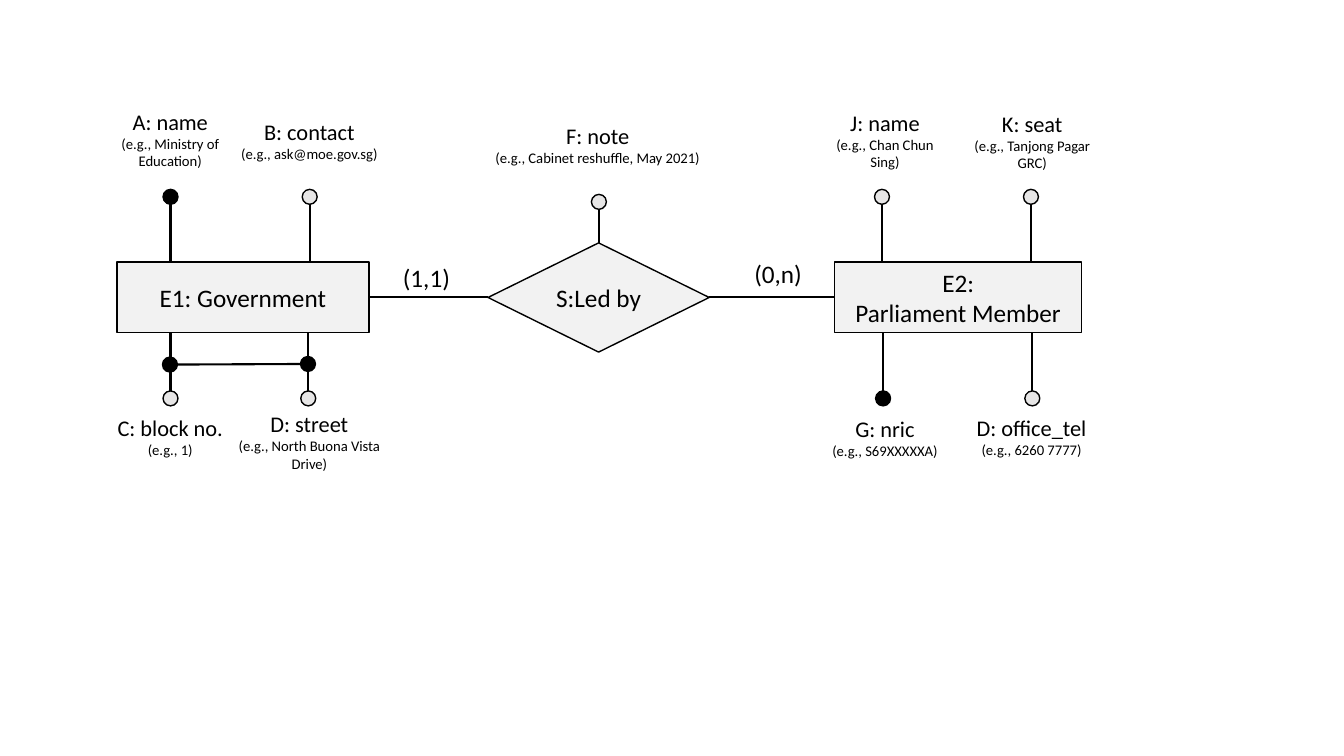
from dataclasses import dataclass

import pptx
import pptx.dml.color
import pptx.enum.shapes
import pptx.enum.text
import pptx.oxml
import pptx.oxml.ns
import pptx.util

Pt = pptx.util.Pt
KIND = pptx.enum.shapes.MSO_SHAPE
COLORS = {"ink": "000000", "box": "F2F2F2", "dot": "E7E6E6"}
FONT = "Calibri"
DOT = 10.7
MID = 212.4


@dataclass
class Node:
    kind: int
    left: float
    top: float
    width: float
    height: float
    lines: list[str]


@dataclass
class Pin:
    x: float
    y: float
    edge: float
    fill: str


@dataclass
class Label:
    left: float
    top: float
    width: float
    height: float
    name: str
    note: str = ""


def color(name: str) -> pptx.dml.color.RGBColor:
    return pptx.dml.color.RGBColor.from_string(COLORS[name])


def write(frame, lines: list[tuple[str, float]]) -> None:
    frame.word_wrap = True
    for i, (text, size) in enumerate(lines):
        para = frame.paragraphs[0] if i == 0 else frame.add_paragraph()
        para.alignment = pptx.enum.text.PP_ALIGN.CENTER
        run = para.add_run()
        run.text = text
        run.font.name = FONT
        run.font.size = Pt(size)
        run.font.color.rgb = color("ink")


def draw_shape(kind: int, left: float, top: float, width: float, height: float, fill: str):
    shape = slide.shapes.add_shape(kind, Pt(left), Pt(top), Pt(width), Pt(height))
    shape.shadow.inherit = False
    shape.fill.solid()
    shape.fill.fore_color.rgb = color(fill)
    shape.line.color.rgb = color("ink")
    shape.line.width = Pt(1)
    return shape


def draw_line(x1: float, y1: float, x2: float, y2: float) -> None:
    line = slide.shapes.add_connector(
        pptx.enum.shapes.MSO_CONNECTOR.STRAIGHT, Pt(x1), Pt(y1), Pt(x2), Pt(y2))
    line.line.color.rgb = color("ink")
    line.line.width = Pt(1.5)
    props = line._element.spPr
    props.append(pptx.oxml.parse_xml(f'<a:effectLst {pptx.oxml.ns.nsdecls("a")}/>'))


def draw_dot(x: float, y: float, fill: str) -> None:
    draw_shape(KIND.OVAL, x - DOT / 2, y - DOT / 2, DOT, DOT, fill)


def draw_node(node: Node) -> None:
    shape = draw_shape(node.kind, node.left, node.top, node.width, node.height, "box")
    shape.text_frame.vertical_anchor = pptx.enum.text.MSO_ANCHOR.MIDDLE
    write(shape.text_frame, [(text, 18) for text in node.lines])


def draw_pin(pin: Pin) -> None:
    side = 1 if pin.edge > pin.y else -1
    draw_line(pin.x, pin.y + side * DOT / 2, pin.x, pin.edge)
    draw_dot(pin.x, pin.y, pin.fill)


def draw_label(label: Label) -> None:
    box = slide.shapes.add_textbox(
        Pt(label.left), Pt(label.top), Pt(label.width), Pt(label.height))
    if label.note:
        lines = [(label.name, 16), (label.note, 10.5)]
    else:
        lines = [(label.name, 18)]
    write(box.text_frame, lines)
    box.text_frame.auto_size = pptx.enum.text.MSO_AUTO_SIZE.SHAPE_TO_FIT_TEXT


link = Node(KIND.FLOWCHART_DECISION, 348.6, 173.5, 158, 78, ["S:Led by"])
gov = Node(KIND.RECTANGLE, 83.5, 187.2, 180, 50.4, ["E1: Government"])
member = Node(KIND.RECTANGLE, 596.2, 187.2, 176.4, 50.4, ["E2:", "Parliament Member"])

HIGH, LOW = 140.6, 284.6
TOP, BASE = gov.top, gov.top + gov.height
pins = [
    Pin(121.8, HIGH, TOP, "ink"),
    Pin(221.2, HIGH, TOP, "dot"),
    Pin(121.8, LOW, BASE, "dot"),
    Pin(220.2, LOW, BASE, "dot"),
    Pin(427.8, 144.2, link.top, "dot"),
    Pin(630, HIGH, TOP, "dot"),
    Pin(736.4, HIGH, TOP, "dot"),
    Pin(630.8, LOW, BASE, "ink"),
    Pin(737.4, LOW, BASE, "dot"),
]

labels = [
    Label(269.3, 183.6, 70.6, 29, "(1,1)"),
    Label(515.5, 180.7, 80.6, 29, "(0,n)"),
    Label(76.3, 73.4, 90.7, 53, "A: name", "(e.g., Ministry of Education)"),
    Label(162.7, 80.6, 116.6, 39.6, "B: contact", "(e.g., ask@moe.gov.sg)"),
    Label(76.3, 292.3, 90.7, 39.6, "C: block no.", "(e.g., 1)"),
    Label(162.7, 289.4, 116.6, 52, "D: street", "(e.g., North Buona Vista Drive)"),
    Label(339.1, 83.5, 175.7, 39.6, "F: note", "(e.g., Cabinet reshuffle, May 2021)"),
    Label(586.8, 74.2, 90.7, 52, "J: name", "(e.g., Chan Chun Sing)"),
    Label(679, 74.9, 116.6, 52, "K: seat", "(e.g., Tanjong Pagar GRC)"),
    Label(586.8, 293, 90.7, 39.6, "G: nric", "(e.g., S69XXXXXA)"),
    Label(669.6, 292.3, 134.6, 39.6, "D: office_tel", "(e.g., 6260 7777)"),
]

deck = pptx.Presentation()
deck.slide_width, deck.slide_height = Pt(960), Pt(540)
slide = deck.slides.add_slide(deck.slide_layouts[6])

for node in (link, gov, member):
    draw_node(node)
for start, end in ((gov, link), (link, member)):
    draw_line(start.left + start.width, MID, end.left, MID)
for pin in pins:
    draw_pin(pin)

joints = [(121.4, 260.4), (220, 260)]
(x1, y1), (x2, y2) = joints
draw_line(x1 + DOT / 2, y1, x2 - DOT / 2, y2)
for x, y in joints:
    draw_dot(x, y, "ink")
for label in labels:
    draw_label(label)

deck.save("out.pptx")
